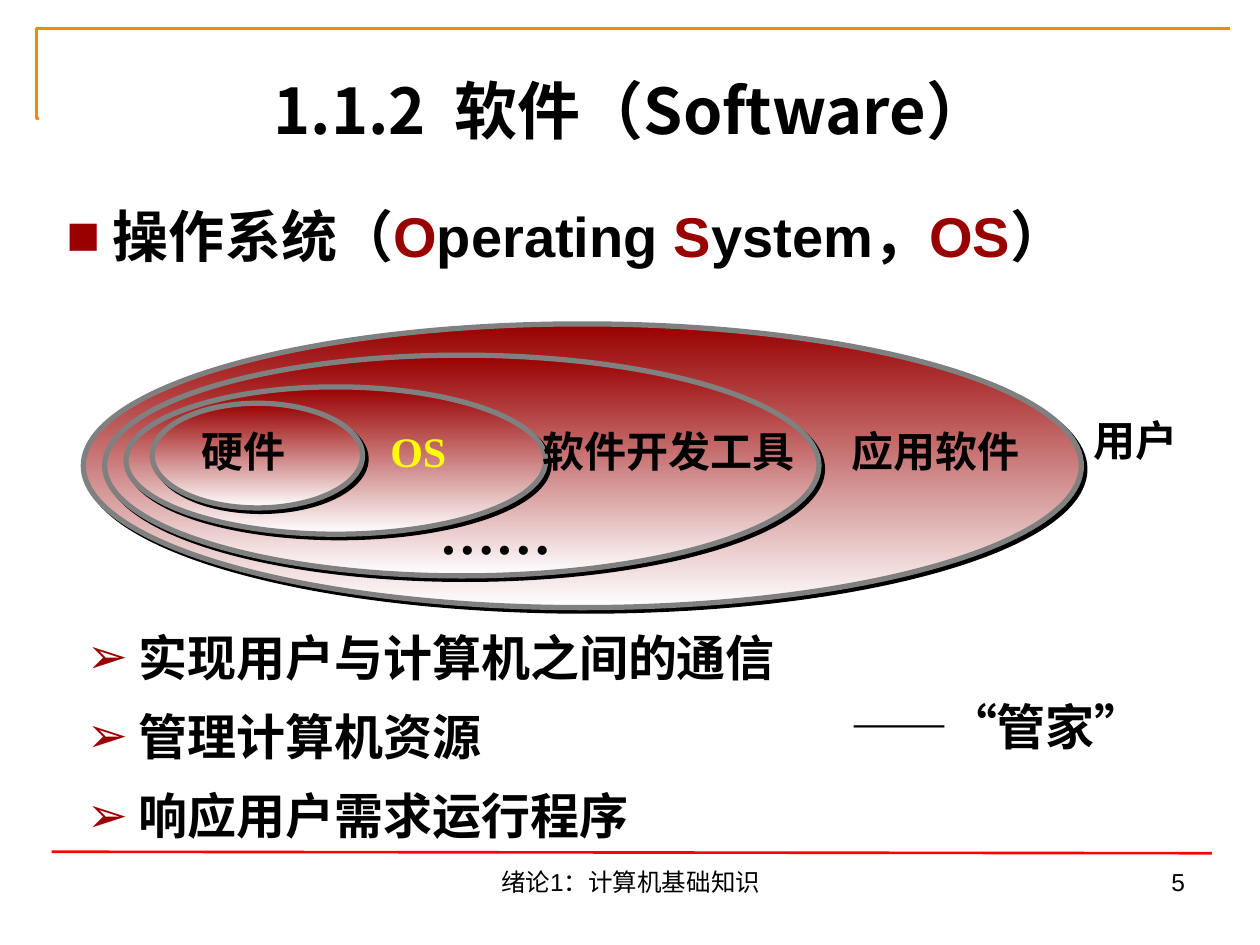
from lxml.etree import SubElement
from pptx import Presentation
from pptx.dml.color import RGBColor
from pptx.enum.shapes import MSO_CONNECTOR, MSO_SHAPE
from pptx.enum.text import MSO_ANCHOR, PP_ALIGN
from pptx.oxml.ns import qn
from pptx.util import Cm, Pt

RED, BLACK, WHITE, YELLOW = "990000", "000000", "FFFFFF", "FFFF00"
CJK, SERIF, SANS = "Noto Sans CJK JP", "Times New Roman", "Arial"


def color(value):
    return RGBColor.from_string(value)


def add_run(p, text, size=24, font=SERIF, fill=BLACK, bold=True):
    r = p.add_run()
    r.text = text
    r.font.size = Pt(size)
    r.font.name = font
    r.font.bold = bold
    r.font.color.rgb = color(fill)
    SubElement(r.font._element, qn("a:ea"), typeface=CJK)


class SlideBuilder:
    line_width = 1.5
    ring_line, ring_width = "808080", 3

    def __init__(self, prs):
        self.s = prs.slides.add_slide(prs.slide_layouts[6])

    def text(self, box, runs, align=PP_ALIGN.LEFT, anchor=MSO_ANCHOR.TOP,
             bullet=None, **style):
        """Runs is a string, or a list of (text, colour) pairs."""
        tf = self.s.shapes.add_textbox(*map(Cm, box)).text_frame
        tf.word_wrap = True
        tf.vertical_anchor = anchor
        p = tf.paragraphs[0]
        p.alignment = align
        if bullet:
            pPr = p._p.get_or_add_pPr()
            clr = SubElement(pPr, qn("a:buClr"))
            SubElement(clr, qn("a:srgbClr"), val=RED)
            SubElement(pPr, qn("a:buFont"), typeface=SANS)
            SubElement(pPr, qn("a:buChar"), char=bullet)
        if isinstance(runs, str):
            add_run(p, runs, **style)
        else:
            for text, fill in runs:
                add_run(p, text, fill=fill, **style)

    def line(self, kind, ends, fill):
        cxn = self.s.shapes.add_connector(kind, *map(Cm, ends))
        cxn.line.color.rgb = color(fill)
        cxn.line.width = Pt(self.line_width)
        SubElement(cxn._element.spPr, qn("a:effectLst"))
        return cxn

    def bent_line(self, ends, fill, bend):
        cxn = self.line(MSO_CONNECTOR.ELBOW, ends, fill)
        geom = cxn._element.spPr.find(qn("a:prstGeom"))
        av = geom.find(qn("a:avLst"))
        if av is None:
            av = SubElement(geom, qn("a:avLst"))
        SubElement(av, qn("a:gd"), name="adj1", fmla=f"val {bend}")

    def rings(self, boxes):
        group = self.s.shapes.add_group_shape()
        for box in boxes:
            sp = group.shapes.add_shape(MSO_SHAPE.OVAL, *map(Cm, box))
            sp.fill.gradient()
            sp.fill.gradient_angle = 270
            for stop, fill in zip(sp.fill.gradient_stops, (RED, WHITE)):
                stop.color.rgb = color(fill)
            sp.line.color.rgb = color(self.ring_line)
            sp.line.width = Pt(self.ring_width)
            # Hard shadow to the lower right
            sp.shadow.inherit = False
            effects = sp._element.spPr.find(qn("a:effectLst"))
            shadow = SubElement(effects, qn("a:outerShdw"), dist=str(Pt(2.8)),
                                dir="2700000", algn="ctr", rotWithShape="0")
            SubElement(shadow, qn("a:srgbClr"), val=BLACK)


def main():
    prs = Presentation()
    prs.slide_width, prs.slide_height = Cm(25.4), Cm(19.05)
    b = SlideBuilder(prs)

    # Frame lines
    b.bent_line((0.79, 2.39, 24.8, 0.58), "FC8604", bend=-200)
    b.line(MSO_CONNECTOR.STRAIGHT, (1.04, 17.17, 24.43, 17.2), "FF0000")

    # Title and heading
    b.text((1.3, 0.91, 22.86, 2.59), "1.1.2  软件（Software）", size=36, font=CJK,
           align=PP_ALIGN.CENTER, anchor=MSO_ANCHOR.MIDDLE)
    b.text((1.09, 3.94, 22.81, 1.6),
           [(" 操作系统（", BLACK), ("O", RED), ("perating ", BLACK), ("S", RED),
            ("ystem，", BLACK), ("OS", RED), ("）", BLACK)],
           bullet="■", size=32, font=SANS)

    # Nested layers, outermost first
    b.rings([(1.68, 6.53, 20.12, 5.72), (2.11, 7.16, 14.4, 4.45),
             (2.54, 7.8, 8.46, 2.97), (3.07, 8.13, 4.24, 2.11)])

    # Layer labels
    for label, left, width, fill in [("硬件", 3.81, 3.18, BLACK),
                                     ("OS", 7.62, 2.97, YELLOW),
                                     ("软件开发工具", 10.69, 5.87, BLACK),
                                     ("应用软件", 16.92, 4.37, BLACK)]:
        b.text((left, 8.46, width, 1.27), label, fill=fill)
    b.text((8.61, 9.93, 4.01, 1.6), "……", size=32)
    b.text((21.79, 8.23, 3.71, 1.27), "用户")

    # Roles of the operating system
    roles = [(" 实现用户与计算机之间的通信", 19.41), (" 管理计算机资源", 10.21),
             (" 响应用户需求运行程序", 21.41)]
    for i, (role, width) in enumerate(roles):
        b.text((1.5, 12.52 + 1.6 * i, width, 1.45), role, bullet="➢", size=28)
    b.text((16.89, 13.92, 7.19, 1.45), "——“管家”", size=28)

    # Footer
    footer = dict(size=14, font=SANS, bold=False)
    b.text((8.69, 17.35, 8.05, 1.32), "绪论1：计算机基础知识",
           align=PP_ALIGN.CENTER, **footer)
    b.text((18.21, 17.35, 5.93, 1.32), "5", align=PP_ALIGN.RIGHT, **footer)

    prs.save("out.pptx")


if __name__ == "__main__":
    main()
